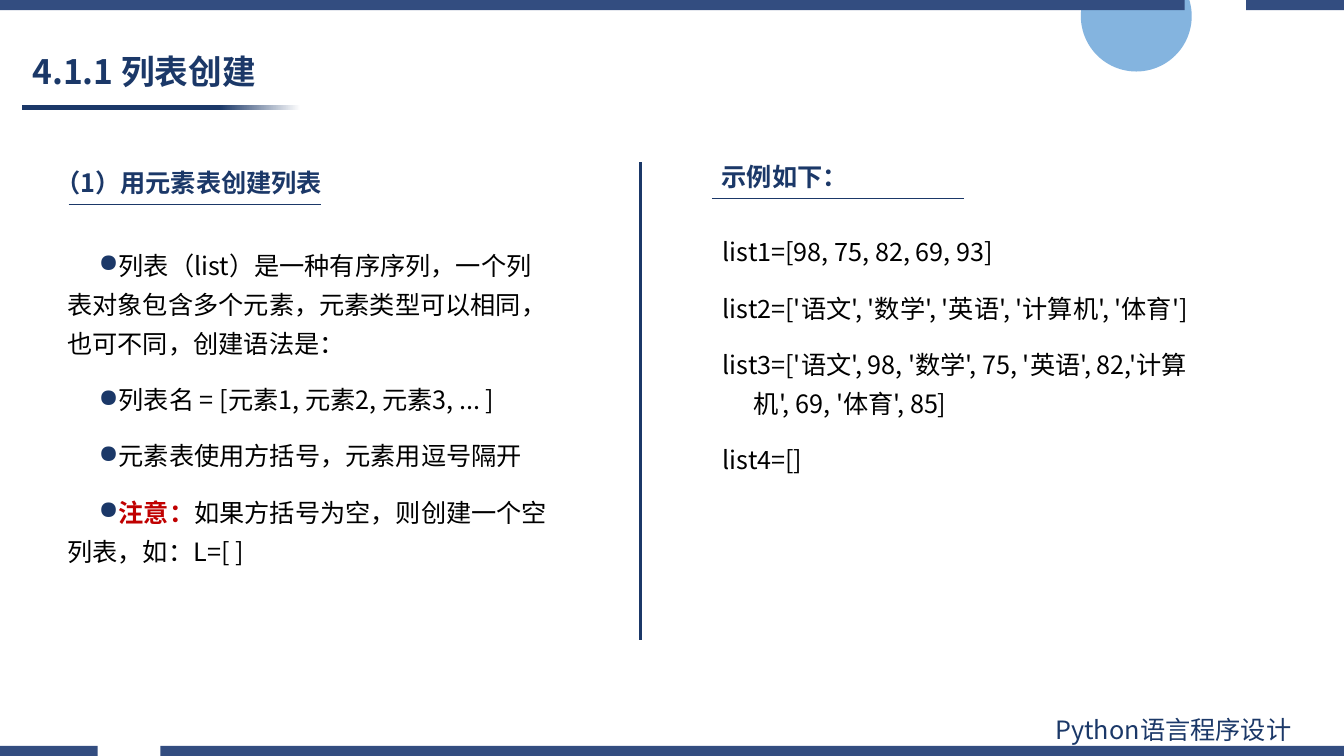
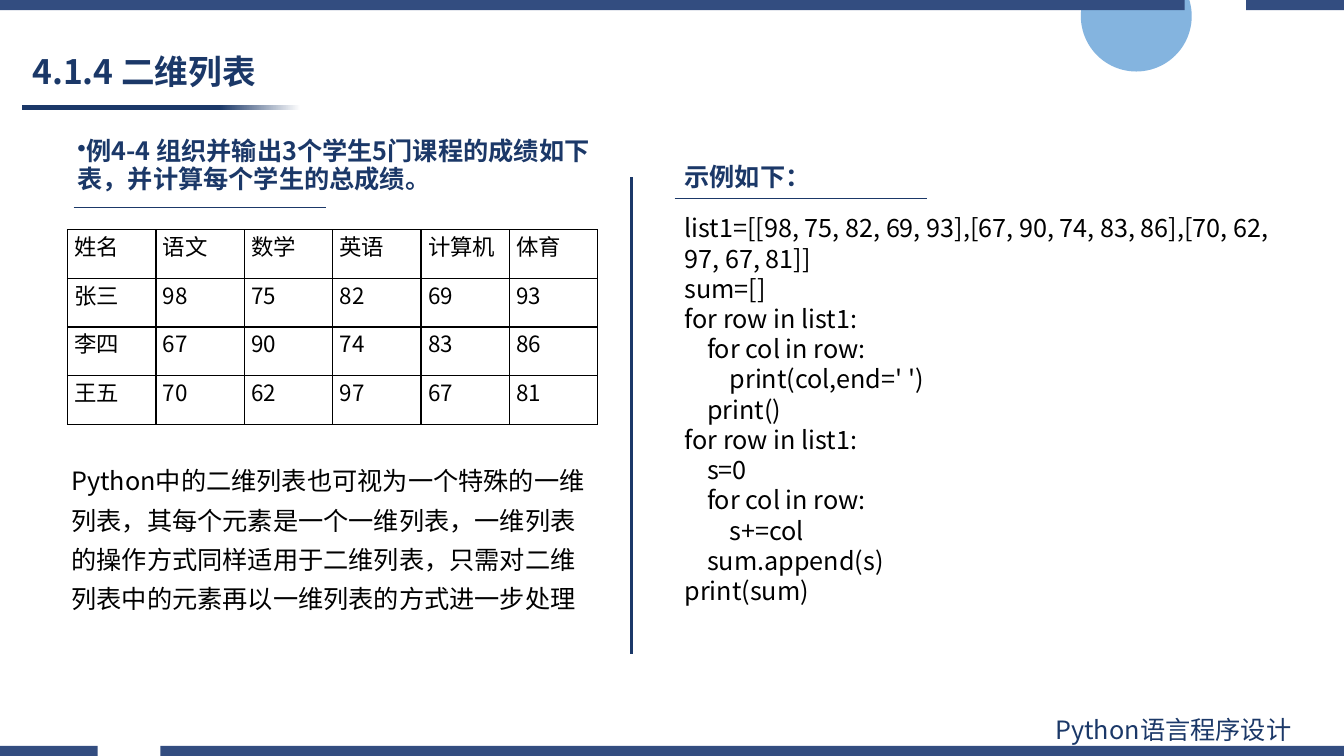
from lxml import etree
from pptx import Presentation
from pptx.dml.color import RGBColor
from pptx.enum import shapes, text
from pptx.oxml.ns import qn
from pptx.util import Inches, Pt

NAVY = RGBColor(0x1B, 0x38, 0x68)
BAND = RGBColor(0x33, 0x4D, 0x80)
SKY = RGBColor(0x5B, 0x9B, 0xD5)
RED = RGBColor(0xC0, 0x00, 0x00)
BLACK = RGBColor(0, 0, 0)
WHITE = RGBColor(0xFF, 0xFF, 0xFF)
FONT = "Noto Sans CJK SC"
WIDTH, HEIGHT = 13.33, 7.5
BAND_HEIGHT = 0.1
TEXT_INDENT = 0.31
RULE_LENGTH = 2.5

LIST_POINTS = [
    ["列表（list）是一种有序序列，一个列表对象包含多个元素，元素类型可以相同，也可不同，创建语法是："],
    ["列表名 = [元素1, 元素2, 元素3, ... ]"],
    ["元素表使用方括号，元素用逗号隔开"],
    [("注意：", RED, True), "如果方括号为空，则创建一个空列表，如：L=[ ]"],
]
LIST_EXAMPLES = [
    ["list1=[98, 75, 82, 69, 93]"],
    ["list2=['语文', '数学', '英语', '计算机', '体育']"],
    ["list3=['语文', 98, '数学', 75, '英语', 82,'计算机', 69, '体育', 85]"],
    ["list4=[]"],
]
SCORES = [
    ["姓名", "语文", "数学", "英语", "计算机", "体育"],
    ["张三", "98", "75", "82", "69", "93"],
    ["李四", "67", "90", "74", "83", "86"],
    ["王五", "70", "62", "97", "67", "81"],
]
SCORE_CODE = """list1=[[98, 75, 82, 69, 93],[67, 90, 74, 83, 86],[70, 62, 97, 67, 81]]
sum=[]
for row in list1:
    for col in row:
        print(col,end=' ')
    print()
for row in list1:
    s=0
    for col in row:
        s+=col
    sum.append(s)
print(sum)"""
MATRIX_NOTE = ("Python中的二维列表也可视为一个特殊的一维列表，其每个元素是一个一维列表，"
               "一维列表的操作方式同样适用于二维列表，只需对二维列表中的元素再以一维列表的方式进一步处理")


def format_span(span, size, color, bold=False):
    span.font.name = FONT
    east_asian = etree.SubElement(span.font._element, qn("a:ea"))
    east_asian.set("typeface", FONT)
    span.font.size = Pt(size)
    span.font.bold = bold
    span.font.color.rgb = color


def add_bullet(para, symbol):
    properties = para._p.get_or_add_pPr()
    color = etree.SubElement(properties, qn("a:buClr"))
    etree.SubElement(color, qn("a:srgbClr")).set("val", str(NAVY))
    etree.SubElement(properties, qn("a:buChar")).set("char", symbol)


def add_text(page, box, paragraphs, size=18, color=BLACK, bold=False,
             spacing=None, gap=0, indent=0, bullet=None):
    """Each paragraph is a list of strings or (text, color, bold) tuples."""
    shape = page.shapes.add_textbox(*map(Inches, box))
    frame = shape.text_frame
    frame.word_wrap = True
    frame.auto_size = text.MSO_AUTO_SIZE.SHAPE_TO_FIT_TEXT
    for index, pieces in enumerate(paragraphs):
        para = frame.add_paragraph() if index else frame.paragraphs[0]
        if bullet:
            add_bullet(para, bullet)
        if indent:
            properties = para._p.get_or_add_pPr()
            properties.set("marL", str(Inches(abs(indent))))
            properties.set("indent", str(Inches(indent)))
        if spacing:
            para.line_spacing = spacing
        if gap:
            para.space_before = Pt(gap if index else 0)
            para.space_after = Pt(gap)
        for piece in pieces:
            if isinstance(piece, str):
                piece = (piece, color, bold)
            span = para.add_run()
            span.text = piece[0]
            format_span(span, size, *piece[1:])


def add_block(page, kind, box, color):
    shape = page.shapes.add_shape(kind, *map(Inches, box))
    shape.shadow.inherit = False
    shape.line.fill.background()
    shape.fill.solid()
    shape.fill.fore_color.rgb = color
    return shape


def add_rule(page, left, top, right, bottom, weight):
    line = page.shapes.add_connector(
        shapes.MSO_CONNECTOR.STRAIGHT, *map(Inches, (left, top, right, bottom)))
    line.line.color.rgb = NAVY
    line.line.width = Pt(weight)
    etree.SubElement(line._element.spPr, qn("a:effectLst"))


def add_decoration(page):
    circle = add_block(page, shapes.MSO_SHAPE.OVAL, (10.72, -0.39, 1.1, 1.1), SKY)
    tint = circle.fill._xPr.find(".//" + qn("a:srgbClr"))
    etree.SubElement(tint, qn("a:alpha")).set("val", "75000")

    rectangle = shapes.MSO_SHAPE.RECTANGLE
    underline = add_block(page, rectangle, (0.22, 1.04, 2.76, 0.05), NAVY)
    underline.fill.gradient()
    underline.fill.gradient_angle = 0
    stops = ((0.71, NAVY), (1.0, WHITE))
    for stop, (position, color) in zip(underline.fill.gradient_stops, stops):
        stop.position = position
        stop.color.rgb = color

    bottom = HEIGHT - BAND_HEIGHT
    for left, right, top in ((0, 11.75, 0), (12.36, WIDTH, 0),
                             (0, 0.97, bottom), (1.59, WIDTH, bottom)):
        add_block(page, rectangle, (left, top, right - left, BAND_HEIGHT), BAND)
    add_text(page, (10.37, 7.04, 2.94, 0.4), [["Python语言程序设计"]], color=NAVY)


def add_page(deck, title):
    page = deck.slides.add_slide(deck.slide_layouts[5])
    add_decoration(page)
    holder = page.shapes.title
    holder.left, holder.top, holder.width, holder.height = map(
        Inches, (0.22, 0.45, 6.04, 0.56))
    frame = holder.text_frame
    frame.text = title
    frame.auto_size = text.MSO_AUTO_SIZE.NONE
    frame.vertical_anchor = text.MSO_ANCHOR.MIDDLE
    para = frame.paragraphs[0]
    para.alignment = text.PP_ALIGN.LEFT
    para.line_spacing = 0.9
    format_span(para.runs[0], 24, NAVY, True)
    return page


def add_heading(page, box, words, rule_offset=0, rule_drop=0.42, **style):
    left, top = box[:2]
    add_text(page, box, [[words]], color=NAVY, bold=True, **style)
    start, level = left + rule_offset, top + rule_drop
    add_rule(page, start, level, start + RULE_LENGTH, level, 0.5)


def set_borders(cell):
    properties = cell._tc.get_or_add_tcPr()
    for side in ("lnL", "lnR", "lnT", "lnB"):
        line = etree.SubElement(properties, qn("a:" + side))
        line.set("w", str(Pt(1)))
        fill = etree.SubElement(line, qn("a:solidFill"))
        etree.SubElement(fill, qn("a:srgbClr")).set("val", str(BLACK))


def add_score_table(page, box):
    table = page.shapes.add_table(
        len(SCORES), len(SCORES[0]), *map(Inches, box)).table
    table.first_row = table.horz_banding = False
    for row, values in zip(table.rows, SCORES):
        for cell, value in zip(row.cells, values):
            set_borders(cell)
            cell.fill.background()
            cell.margin_left = cell.margin_right = Inches(0.07)
            cell.margin_top = cell.margin_bottom = 0
            cell.text = value
            para = cell.text_frame.paragraphs[0]
            para.alignment = text.PP_ALIGN.JUSTIFY
            format_span(para.runs[0], 16, BLACK)


def add_list_creation(deck):
    page = add_page(deck, "4.1.1 列表创建")
    add_heading(page, (0.45, 1.61, 3.4, 0.4), "（1）用元素表创建列表", rule_offset=0.23)
    add_text(page, (0.26, 2.34, 5.35, 3.92), LIST_POINTS, spacing=1.3, gap=6,
             indent=TEXT_INDENT, bullet="●")
    add_rule(page, 6.35, 1.61, 6.35, 6.35, 2)
    add_heading(page, (7.06, 1.55, 3.4, 0.4), "示例如下：")
    add_text(page, (7.07, 2.21, 4.94, 3.05), LIST_EXAMPLES, spacing=1.3, gap=6,
             indent=-TEXT_INDENT)


def add_matrix_list(deck):
    page = add_page(deck, "4.1.4 二维列表")
    add_heading(page, (0.67, 1.33, 5.34, 0.65),
                "例4-4 组织并输出3个学生5门课程的成绩如下表，并计算每个学生的总成绩。",
                rule_offset=0.06, rule_drop=0.73, spacing=0.9, bullet="•")
    add_score_table(page, (0.67, 2.28, 5.26, 1.93))
    add_text(page, (0.61, 4.48, 5.42, 1.64), [[MATRIX_NOTE]], spacing=1.3)
    add_rule(page, 6.26, 1.76, 6.26, 6.49, 2)
    add_heading(page, (6.69, 1.55, 3.4, 0.4), "示例如下：")
    add_text(page, (6.69, 2.06, 6.21, 4.35),
             [[line] for line in SCORE_CODE.splitlines()])


def main():
    deck = Presentation()
    deck.slide_width, deck.slide_height = Inches(WIDTH), Inches(HEIGHT)
    add_list_creation(deck)
    add_matrix_list(deck)
    deck.save("out.pptx")


if __name__ == "__main__":
    main()
